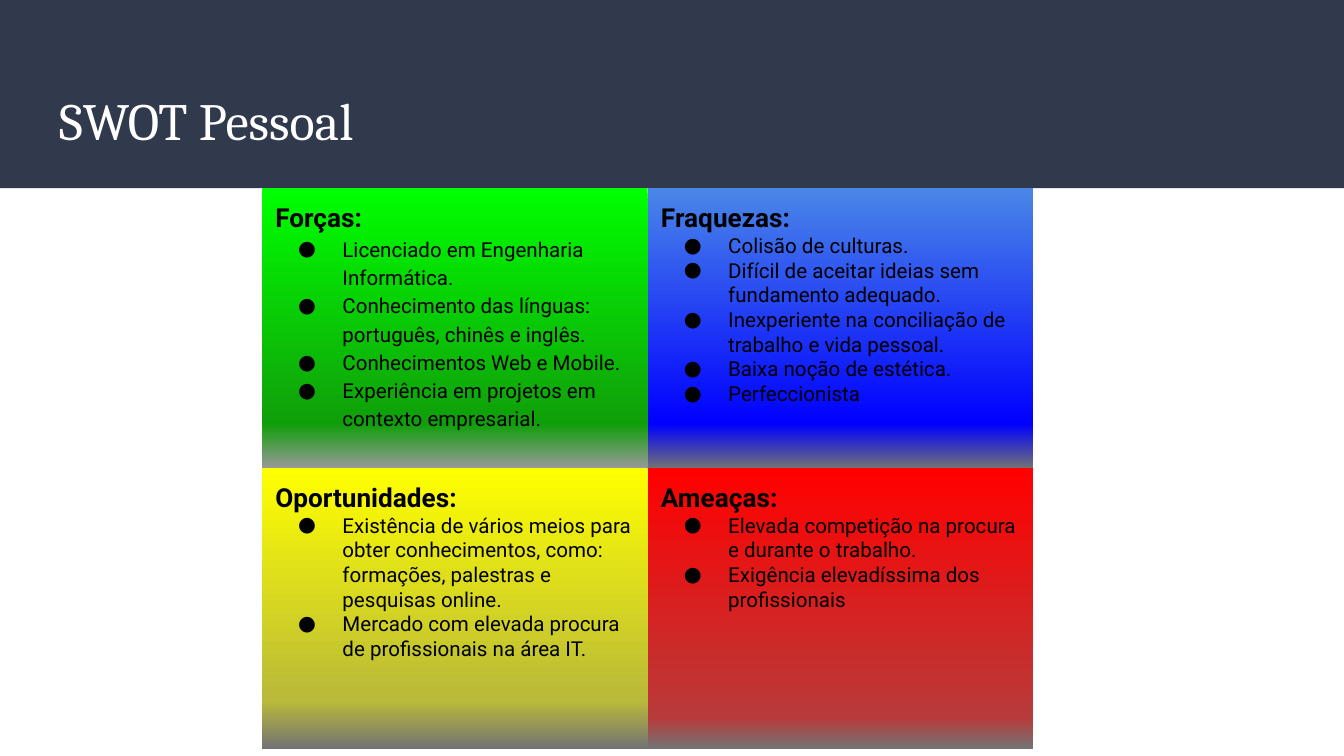
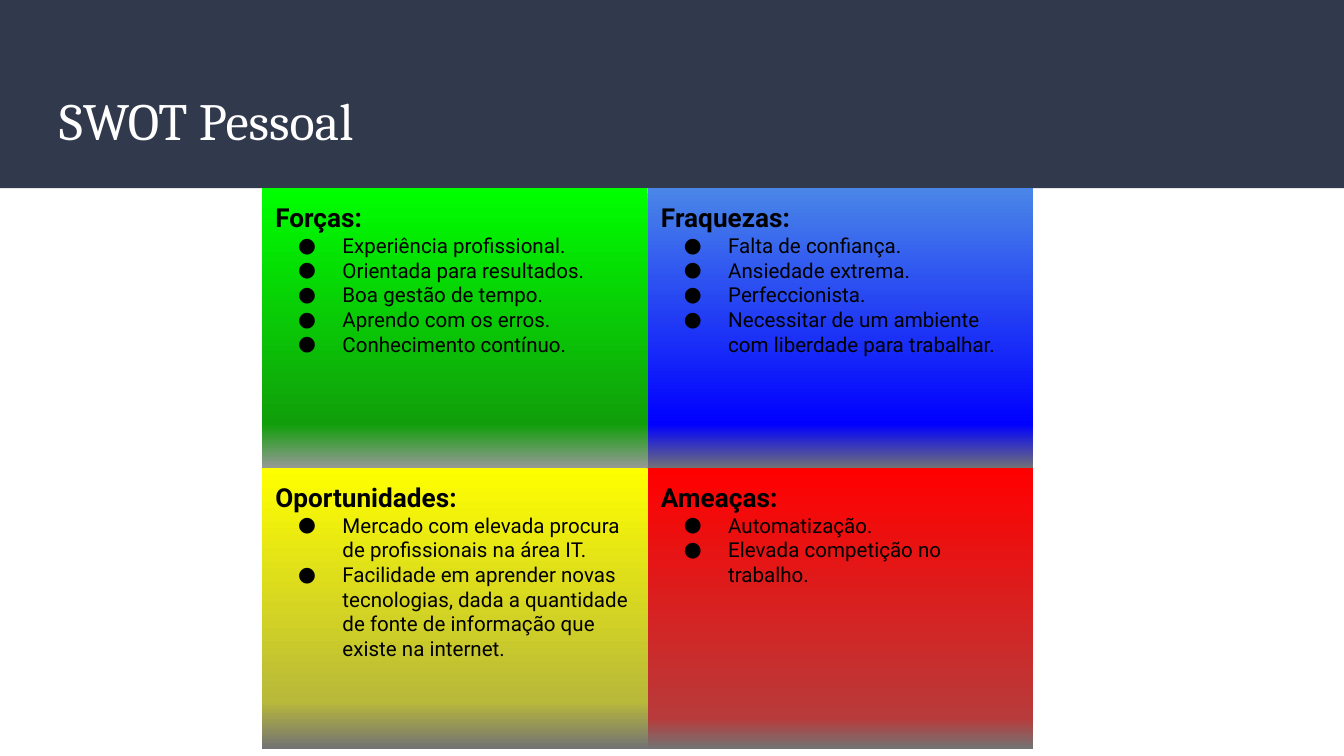
from lxml import etree
from pptx import Presentation
from pptx import util as u
from pptx.dml.color import RGBColor
from pptx.enum import shapes, text
from pptx.oxml.ns import qn

COLORS = {
    "band": "31394D", "white": "FFFFFF", "ink": "000000",
    "lime": "00FF00", "green": "109F0A", "silver": "999999",
    "sky": "4A86E8", "blue": "0000FF", "gray": "737373",
    "yellow": "FFFF00", "olive": "B9B93A", "red": "FF0000", "brick": "B93A3A",
}
FONTS = {
    "title": {"name": "Cambria", "size": u.Pt(28), "bold": False, "color": "white"},
    "head": {"name": "Roboto", "size": u.Pt(14), "bold": True, "color": "ink"},
    "item": {"name": "Roboto", "size": u.Pt(11), "bold": False, "color": "ink"},
}

# Heading and gradient stops of each quadrant, row by row
QUADS = [
    ("Forças:", [(0, "lime"), (84, "green"), (100, "silver")]),
    ("Fraquezas:", [(0, "sky"), (84, "blue"), (100, "gray")]),
    ("Oportunidades:", [(0, "yellow"), (83, "olive"), (100, "gray")]),
    ("Ameaças:", [(0, "red"), (89, "brick"), (100, "gray")]),
]
LEFT, TOP, WIDE, HIGH, STEP = 1.95, 1.4, 2.87, 2.09, 2.08

# Bullets of each slide, in quadrant order
FIRST = [
    ["Licenciado em Engenharia Informática.",
     "Conhecimento das línguas: português, chinês e inglês.",
     "Conhecimentos Web e Mobile.",
     "Experiência em projetos em contexto empresarial."],
    ["Colisão de culturas.",
     "Difícil de aceitar ideias sem fundamento adequado.",
     "Inexperiente na conciliação de trabalho e vida pessoal.",
     "Baixa noção de estética.",
     "Perfeccionista"],
    ["Existência de vários meios para obter conhecimentos, como: "
     "formações, palestras e pesquisas online.",
     "Mercado com elevada procura de profissionais na área IT."],
    ["Elevada competição na procura e durante o trabalho.",
     "Exigência elevadíssima dos profissionais"],
]
SECOND = [
    ["Experiência profissional.",
     "Orientada para resultados.",
     "Boa gestão de tempo.",
     "Aprendo com os erros.",
     "Conhecimento contínuo."],
    ["Falta de confiança.",
     "Ansiedade extrema.",
     "Perfeccionista.",
     "Necessitar de um ambiente com liberdade para trabalhar."],
    ["Mercado com elevada procura de profissionais na área IT.",
     "Facilidade em aprender novas tecnologias, dada a quantidade "
     "de fonte de informação que existe na internet."],
    ["Automatização.",
     "Elevada competição no trabalho."],
]


def shade(name):
    return RGBColor.from_string(COLORS[name])


def node(up, tag, **attrs):
    return etree.SubElement(up, qn(tag), attrs)


class Deck:
    def __init__(self):
        self.prs = Presentation()
        self.prs.slide_width = u.Inches(10)
        self.prs.slide_height = u.Inches(5.625)
        self.layout = self.prs.slide_layouts[5]
        self.slide = None

    def page(self, title):
        first = self.slide is None
        self.slide = self.prs.slides.add_slide(self.layout)
        if first:
            self.band()
        self.title(title)

    def band(self):
        # The band lives on the layout, behind every title
        bar = self.rect(0, 0, 10, TOP)
        bar.fill.solid()
        bar.fill.fore_color.rgb = shade("band")
        self.layout.shapes.element.insert(2, bar.element)

    def title(self, words):
        box = self.slide.shapes.title
        box.left, box.top, box.width, box.height = map(u.Inches, (0.34, 0.55, 9.32, 0.68))
        self.frame(box, text.MSO_ANCHOR.MIDDLE)
        self.line(box.text_frame.paragraphs[0], words, "title")

    def rect(self, x, y, w, h):
        box = self.slide.shapes.add_shape(
            shapes.MSO_SHAPE.RECTANGLE, *map(u.Inches, (x, y, w, h)))
        box.shadow.inherit = False
        box.line.fill.background()
        return box

    def frame(self, box, anchor):
        style = {"word_wrap": True, "auto_size": text.MSO_AUTO_SIZE.NONE,
                 "vertical_anchor": anchor}
        style.update({"margin_" + side: u.Inches(0.1)
                      for side in ("left", "top", "right", "bottom")})
        for key, val in style.items():
            setattr(box.text_frame, key, val)

    def line(self, para, words, kind, space=1.0):
        para.alignment = text.PP_ALIGN.LEFT
        para.line_spacing = space
        run = para.add_run()
        run.text = words
        for key, val in FONTS[kind].items():
            if key == "color":
                run.font.color.rgb = shade(val)
            else:
                setattr(run.font, key, val)

    def bullet(self, para):
        props = para._p.get_or_add_pPr()
        props.set("marL", str(u.Inches(0.5)))
        props.set("indent", str(u.Inches(-0.33)))
        node(node(props, "a:buClr"), "a:srgbClr", val=COLORS["ink"])
        node(props, "a:buFont", typeface="Roboto")
        node(props, "a:buChar", char="●")

    def blend(self, box, stops):
        box.fill.gradient()
        box.fill.gradient_angle = 270
        group = box.element.find(".//" + qn("a:gsLst"))
        for old in list(group):
            group.remove(old)
        for pos, name in stops:
            stop = node(group, "a:gs", pos=str(pos * 1000))
            node(stop, "a:srgbClr", val=COLORS[name])

    def quad(self, index, items, space):
        row, col = divmod(index, 2)
        head, stops = QUADS[index]
        box = self.rect(LEFT + col * WIDE, TOP + row * STEP, WIDE, HIGH)
        self.blend(box, stops)
        self.frame(box, text.MSO_ANCHOR.TOP)
        self.line(box.text_frame.paragraphs[0], head, "head")
        for item in items:
            para = box.text_frame.add_paragraph()
            self.line(para, item, "item", space)
            self.bullet(para)

    def swot(self, lists, spaces):
        self.page("SWOT Pessoal")
        for index, items in enumerate(lists):
            self.quad(index, items, spaces.get(index, 1.0))


def main():
    deck = Deck()
    deck.swot(FIRST, {0: 1.15})  # looser lines in the strengths
    deck.swot(SECOND, {})
    deck.prs.save("out.pptx")


if __name__ == "__main__":
    main()
